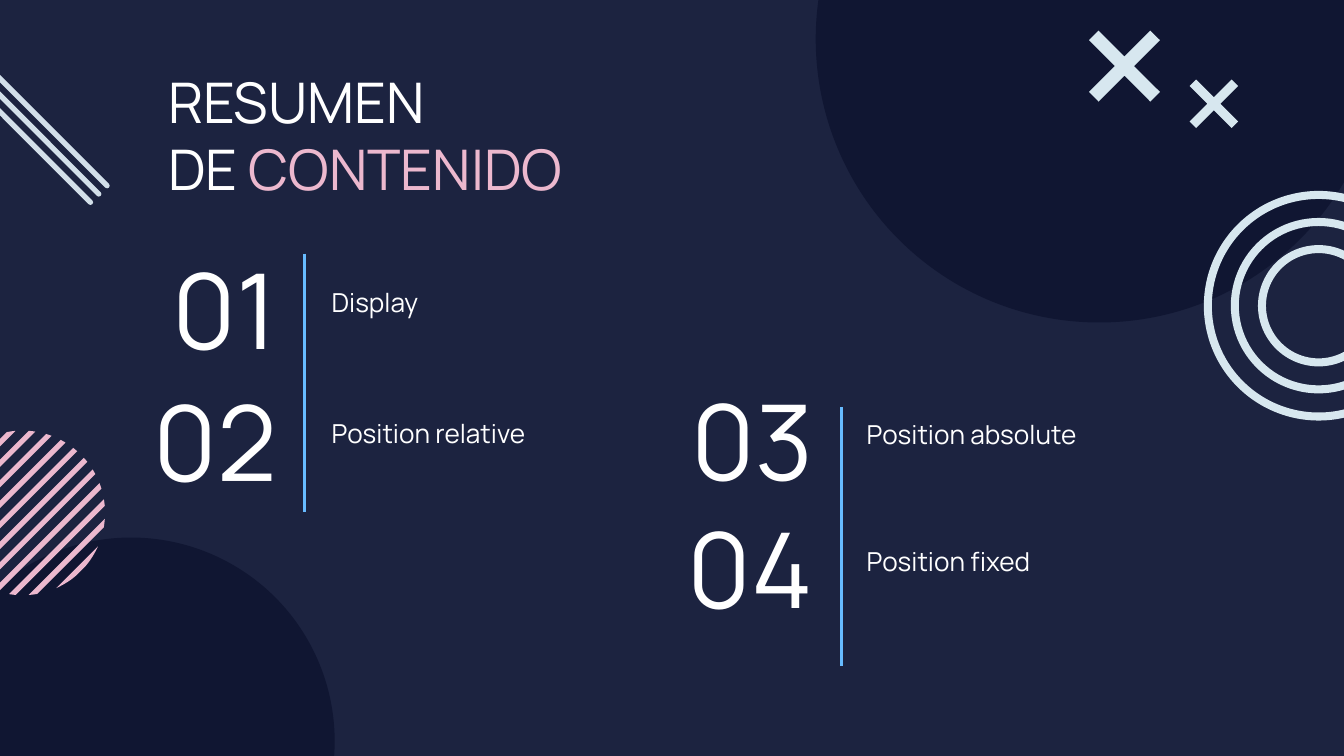
from dataclasses import dataclass
from math import acos, cos, pi, sin

from lxml.etree import SubElement
from pptx import Presentation
from pptx.dml.color import RGBColor
from pptx.enum.shapes import MSO_CONNECTOR, MSO_SHAPE
from pptx.enum.text import MSO_ANCHOR, MSO_AUTO_SIZE, PP_ALIGN
from pptx.oxml.ns import qn
from pptx.util import Pt


@dataclass(frozen=True)
class Theme:
    background: RGBColor = RGBColor.from_string("1C2340")
    navy: RGBColor = RGBColor.from_string("101632")
    pink: RGBColor = RGBColor.from_string("ECB8CE")
    ice: RGBColor = RGBColor.from_string("D7E7EF")
    mist: RGBColor = RGBColor.from_string("D2DFE9")
    blue: RGBColor = RGBColor.from_string("67BBFF")
    white: RGBColor = RGBColor.from_string("FFFFFF")
    font: str = "Manrope"
    title_size: int = 30
    number_size: int = 56
    label_size: int = 14


theme = Theme()


def paint(shape, color):
    """Give a shape a flat fill with no outline and no shadow."""
    shape.shadow.inherit = False
    shape.fill.solid()
    shape.fill.fore_color.rgb = color
    shape.line.fill.background()


def draw_polygon(points, color):
    corners = [(Pt(x), Pt(y)) for x, y in points]
    builder = slide.shapes.build_freeform(*corners[0])
    builder.add_line_segments(corners[1:], close=True)
    paint(builder.convert_to_shape(), color)


presentation = Presentation()
presentation.slide_width, presentation.slide_height = Pt(720), Pt(405)
slide = presentation.slides.add_slide(presentation.slide_layouts[5])
slide.background.fill.solid()
slide.background.fill.fore_color.rgb = theme.background

# Large background circles: left, top, diameter
for left, top, diameter in [(-38.9, 288, 218.2), (437, -131, 303.8)]:
    circle = slide.shapes.add_shape(
        MSO_SHAPE.OVAL, Pt(left), Pt(top), Pt(diameter), Pt(diameter))
    paint(circle, theme.navy)

# Striped circle: diagonal bands cut from one disc
disc_x, disc_y, disc_radius = 12.2, 274.8, 44.1
band_count, band_start, band_step, band_width = 11, -36.65, 7.78, 2.8
arc_steps = 6
for band in range(band_count):
    near = band_start + band * band_step
    near_angle = acos(near / disc_radius)
    far_angle = acos(min(1, (near + band_width) / disc_radius))
    arc = [near_angle + (far_angle - near_angle) * step / arc_steps
           for step in range(arc_steps + 1)]
    angles = [pi / 4 + turn for turn in arc] + [pi / 4 - turn for turn in reversed(arc)]
    draw_polygon([(disc_x + disc_radius * cos(angle), disc_y + disc_radius * sin(angle))
                  for angle in angles], theme.pink)

# Concentric rings
ring_x, ring_y, ring_width = 706.4, 163.8, 4.3
for diameter in (123, 94, 65):
    ring = slide.shapes.add_shape(
        MSO_SHAPE.DONUT, Pt(ring_x - diameter / 2), Pt(ring_y - diameter / 2),
        Pt(diameter), Pt(diameter))
    ring.adjustments[0] = ring_width / diameter
    paint(ring, theme.ice)

# Crosses: left, top, size
for left, top, size in [(637.3, 42.6, 26), (583.4, 16.4, 38)]:
    notch, middle = size * 0.135, size / 2
    cross = [(notch, 0), (0, notch), (middle - notch, middle),
             (0, size - notch), (notch, size), (middle, middle + notch),
             (size - notch, size), (size, size - notch), (middle + notch, middle),
             (size, notch), (size - notch, 0), (middle, middle - notch)]
    draw_polygon([(left + x, top + y) for x, y in cross], theme.ice)

# Diagonal strokes and column dividers: x1, y1, x2, y2, color, width, cap
strokes = [(-24.3 - shift, 17.8 + shift, 57.4 - shift, 99.5 + shift, theme.mist, 2.8, "rnd")
           for shift in (0, 4.45, 8.9)]
dividers = [(x, top, x, top + 138.4, theme.blue, 1.5, "flat")
            for x, top in [(163.3, 135.9), (450.7, 218.2)]]
for x1, y1, x2, y2, color, width, cap in strokes + dividers:
    connector = slide.shapes.add_connector(
        MSO_CONNECTOR.STRAIGHT, Pt(x1), Pt(y1), Pt(x2), Pt(y2))
    connector.line.color.rgb = color
    connector.line.width = Pt(width)
    properties = connector._element.spPr
    properties.find(qn("a:ln")).set("cap", cap)
    SubElement(properties, qn("a:effectLst"))

# Text: shape, paragraphs of (text, color) runs, type size, alignment, anchor
title = slide.shapes.title
title_place = {"left": 82.8, "top": 28.8, "width": 291.6, "height": 70.6}
for name, value in title_place.items():
    setattr(title, name, Pt(value))
texts = [(title,
          [[("RESUMEN", theme.white)], [("DE ", theme.white), ("CONTENIDO", theme.pink)]],
          theme.title_size, PP_ALIGN.LEFT, MSO_ANCHOR.TOP)]

# Contents: number, its left and top, label, its left and top
contents = [
    ("01", 51.1, 155.5, "Display", 170.6, 146.2),
    ("02", 51.1, 226.1, "Position relative", 170.6, 216.2),
    ("03", 338.4, 225.4, "Position absolute", 457.2, 216.7),
    ("04", 338.4, 294.5, "Position fixed", 457.2, 285.1),
]
for number, number_left, number_top, label, label_left, label_top in contents:
    number_box = slide.shapes.add_textbox(
        Pt(number_left), Pt(number_top), Pt(104.4), Pt(18.7))
    label_box = slide.shapes.add_textbox(
        Pt(label_left), Pt(label_top), Pt(185), Pt(31.7))
    texts += [
        (number_box, [[(number, theme.white)]],
         theme.number_size, PP_ALIGN.RIGHT, MSO_ANCHOR.MIDDLE),
        (label_box, [[(label, theme.white)]],
         theme.label_size, PP_ALIGN.LEFT, MSO_ANCHOR.TOP),
    ]

frame_format = {"word_wrap": True, "auto_size": MSO_AUTO_SIZE.NONE}
frame_format |= {f"margin_{side}": Pt(7.2) for side in ("left", "top", "right", "bottom")}
for shape, lines, size, alignment, anchor in texts:
    frame = shape.text_frame
    for name, value in (frame_format | {"vertical_anchor": anchor}).items():
        setattr(frame, name, value)
    for index, line in enumerate(lines):
        paragraph = frame.add_paragraph() if index else frame.paragraphs[0]
        paragraph.alignment = alignment
        for text, color in line:
            run = paragraph.add_run()
            run.text = text
            run.font.color.rgb = color
            for name, value in {"name": theme.font, "size": Pt(size)}.items():
                setattr(run.font, name, value)

presentation.save("out.pptx")
